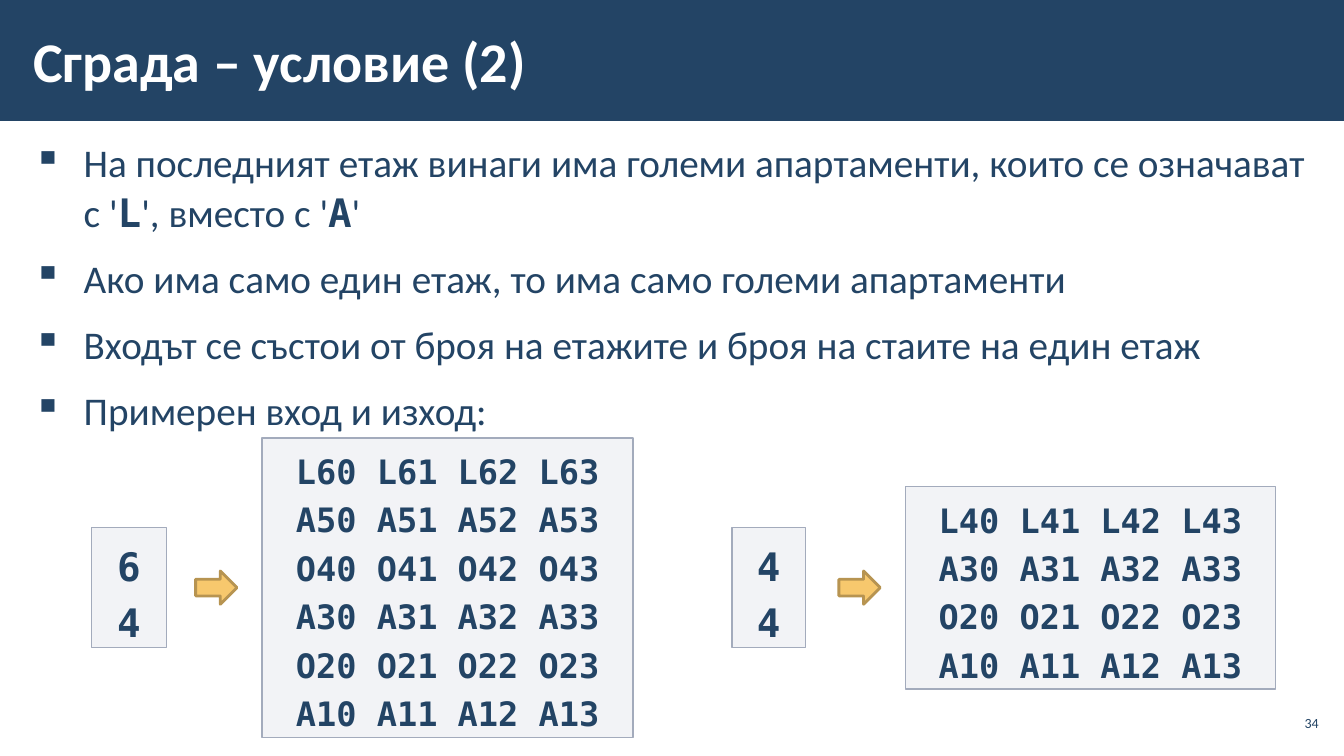
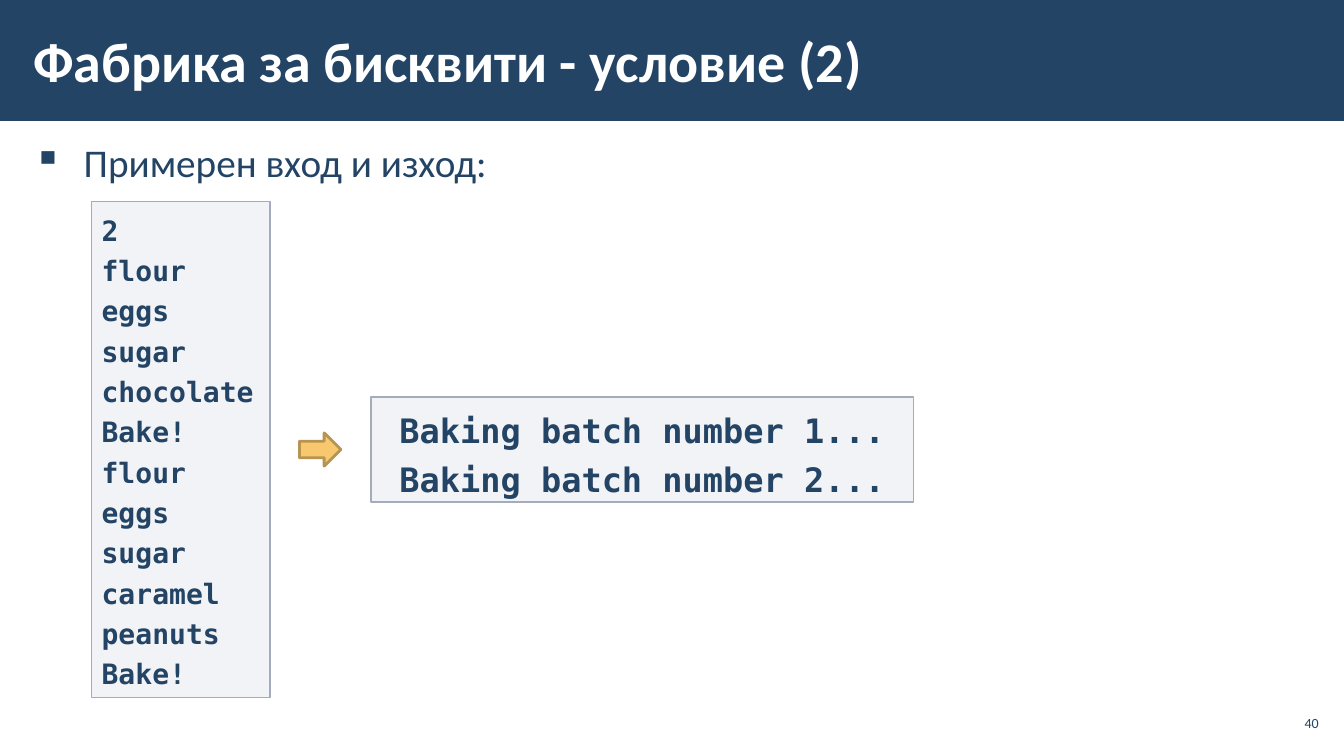
from dataclasses import dataclass

from lxml import etree
from pptx import Presentation
from pptx.dml.color import RGBColor
from pptx.enum.shapes import MSO_SHAPE
from pptx.enum.text import MSO_ANCHOR, MSO_AUTO_SIZE, PP_ALIGN
from pptx.oxml.ns import qn
from pptx.util import Inches, Pt

RECT, ARROW = MSO_SHAPE.RECTANGLE, MSO_SHAPE.RIGHT_ARROW
TOP, MIDDLE = MSO_ANCHOR.TOP, MSO_ANCHOR.MIDDLE
NO_FIT, GROW = MSO_AUTO_SIZE.NONE, MSO_AUTO_SIZE.SHAPE_TO_FIT_TEXT
LEFT, CENTER, RIGHT = PP_ALIGN.LEFT, PP_ALIGN.CENTER, PP_ALIGN.RIGHT

SANS, MONO = "Calibri", "DejaVu Sans Mono"
COLORS = {
    "navy": "234465",
    "white": "FFFFFF",
    "panel": "C2C7D2",
    "panel_line": "A3ABBC",
    "arrow": "F7C86D",
    "arrow_line": "B79451",
}
TITLE_ONLY = 5
PANEL_OPACITY = 20
ARROW_W, ARROW_H = 0.41, 0.33


@dataclass
class Panel:
    left: float
    width: float
    height: float
    size: int
    lines: list[str]
    align: PP_ALIGN = CENTER


@dataclass
class Example:
    middle: float
    source: Panel
    arrow_left: float
    result: Panel


@dataclass
class Page:
    title: str
    number: int
    bullets: list[list[str]]
    examples: list[Example]


SAMPLE_LABEL = ["Примерен вход и изход:"]

PAGES = [
    Page(
        "Сграда – условие (2)",
        34,
        [
            ["На последният етаж винаги има големи апартаменти, които се означават с '",
             "L", "', вместо с '", "А", "'"],
            ["Ако има само един етаж, то има само големи апартаменти"],
            ["Входът се състои от броя на етажите и броя на стаите на един етаж"],
            SAMPLE_LABEL,
        ],
        [
            Example(
                5.83,
                Panel(0.91, 0.74, 1.19, 28, ["6", "4"]),
                1.94,
                Panel(2.6, 3.68, 2.97, 24, [
                    "L60 L61 L62 L63", "A50 A51 A52 A53", "O40 O41 O42 O43",
                    "A30 A31 A32 A33", "O20 O21 O22 O23", "A10 A11 A12 A13",
                ]),
            ),
            Example(
                5.83,
                Panel(7.26, 0.73, 1.19, 28, ["4", "4"]),
                8.32,
                Panel(8.98, 3.67, 2.01, 24, [
                    "L40 L41 L42 L43", "A30 A31 A32 A33",
                    "O20 O21 O22 O23", "A10 A11 A12 A13",
                ]),
            ),
        ],
    ),
    Page(
        "Фабрика за бисквити - условие (2)",
        40,
        [SAMPLE_LABEL],
        [
            Example(
                4.46,
                Panel(0.91, 1.77, 4.92, 20, [
                    "2", "flour", "eggs", "sugar", "chocolate", "Bake!",
                    "flour", "eggs", "sugar", "caramel", "peanuts", "Bake!",
                ], LEFT),
                2.97,
                Panel(3.68, 5.38, 1.04, 24, [
                    "Baking batch number 1...", "Baking batch number 2...",
                ]),
            ),
        ],
    ),
]


def rgb(name: str) -> RGBColor:
    return RGBColor.from_string(COLORS[name])


def set_font(font, name: str, size: int, color: str = "navy", bold: bool = False) -> None:
    font.name = name
    font.size = Pt(size)
    font.bold = bold
    font.color.rgb = rgb(color)


def set_frame(tf, anchor, inset_x: float, inset_y: float, fit=NO_FIT) -> None:
    tf.word_wrap = True
    tf.auto_size = fit
    tf.vertical_anchor = anchor
    tf.margin_left = tf.margin_right = Inches(inset_x)
    tf.margin_top = tf.margin_bottom = Inches(inset_y)


def place(sp, left: float, top: float, width: float, height: float) -> None:
    sp.left, sp.top = Inches(left), Inches(top)
    sp.width, sp.height = Inches(width), Inches(height)


def next_paragraph(tf, index: int):
    return tf.add_paragraph() if index else tf.paragraphs[0]


def add_shape(s, kind, left: float, top: float, width: float, height: float,
              fill: str, line: str | None = None, weight: float = 1):
    sp = s.shapes.add_shape(kind, Inches(left), Inches(top), Inches(width), Inches(height))
    sp.shadow.inherit = False
    sp.fill.solid()
    sp.fill.fore_color.rgb = rgb(fill)
    if line:
        sp.line.color.rgb = rgb(line)
        sp.line.width = Pt(weight)
    else:
        sp.line.fill.background()
    return sp


def add_textbox(s, left: float, top: float, width: float, height: float):
    return s.shapes.add_textbox(Inches(left), Inches(top), Inches(width), Inches(height)).text_frame


def add_band_to_layout(layout, s) -> None:
    band = add_shape(s, RECT, 0, 0, 13.33, 1.2, "navy")
    layout.shapes.element.insert(2, band.element)


def add_title(s, text: str) -> None:
    sp = s.shapes.title
    place(sp, 0.21, 0.11, 10.39, 0.97)
    tf = sp.text_frame
    set_frame(tf, MIDDLE, 0.12, 0.04)
    p = tf.paragraphs[0]
    p.text = text
    p.alignment = LEFT
    set_font(p.font, SANS, 40, "white", True)


def add_bullets(s, bullets: list[list[str]]) -> None:
    tf = add_textbox(s, 0.21, 1.31, 12.92, 5.69)
    set_frame(tf, TOP, 0.12, 0.04)
    for i, parts in enumerate(bullets):
        p = next_paragraph(tf, i)
        p.line_spacing = 1.05
        p.space_before = p.space_after = Pt(6)
        set_font(p.font, SANS, 28)
        for j, part in enumerate(parts):
            r = p.add_run()
            r.text = part
            if j % 2:
                r.font.name = MONO
                r.font.bold = True
        pPr = p._p.get_or_add_pPr()
        pPr.set("marL", str(Inches(0.5)))
        pPr.set("indent", str(Inches(-0.5)))
        bullet = etree.Element(qn("a:buChar"), char="▪")
        pPr.find(qn("a:defRPr")).addprevious(bullet)


def add_number(s, number: int) -> None:
    tf = add_textbox(s, 12.65, 7, 0.47, 0.34)
    set_frame(tf, MIDDLE, 0.04, 0.04)
    p = tf.paragraphs[0]
    p.text = str(number)
    p.alignment = RIGHT
    set_font(p.font, SANS, 10)


def add_panel(s, panel: Panel, middle: float) -> None:
    sp = add_shape(s, RECT, panel.left, middle - panel.height / 2,
                   panel.width, panel.height, "panel", "panel_line")
    color = sp.element.spPr.find(qn("a:solidFill")).find(qn("a:srgbClr"))
    etree.SubElement(color, qn("a:alpha"), val=str(PANEL_OPACITY * 1000))
    tf = sp.text_frame
    set_frame(tf, TOP, 0.1, 0.05, GROW)
    for i, line in enumerate(panel.lines):
        p = next_paragraph(tf, i)
        p.text = line
        p.alignment = panel.align
        p.line_spacing = 1.2
        set_font(p.font, MONO, panel.size, bold=True)


def add_example(s, example: Example) -> None:
    add_panel(s, example.source, example.middle)
    add_shape(s, ARROW, example.arrow_left, example.middle - ARROW_H / 2,
              ARROW_W, ARROW_H, "arrow", "arrow_line", 2)
    add_panel(s, example.result, example.middle)


def main() -> None:
    prs = Presentation()
    prs.slide_width, prs.slide_height = Inches(13.33), Inches(7.5)
    layout = prs.slide_layouts[TITLE_ONLY]
    for i, page in enumerate(PAGES):
        s = prs.slides.add_slide(layout)
        if i == 0:
            add_band_to_layout(layout, s)
        add_title(s, page.title)
        add_bullets(s, page.bullets)
        add_number(s, page.number)
        for example in page.examples:
            add_example(s, example)
    prs.save("out.pptx")


if __name__ == "__main__":
    main()
